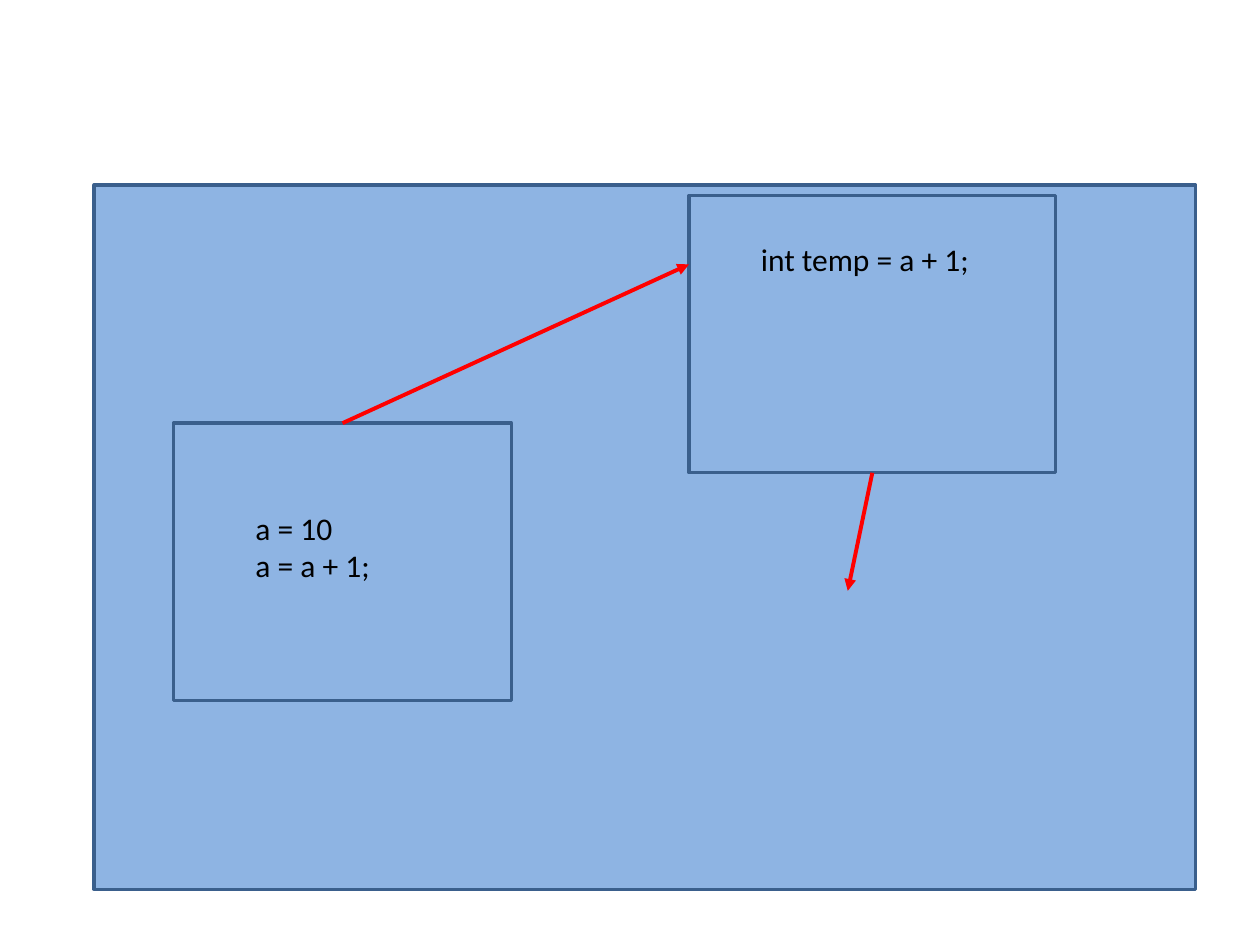
"""Build a slide showing two code frames inside one memory area, linked by arrows."""
import pptx
import pptx.dml.color
import pptx.enum.shapes
import pptx.enum.text
import pptx.oxml
import pptx.oxml.ns
import pptx.util

Cm = pptx.util.Cm

THEME = {
    "fill": "8EB4E3", "border": "3A5F8C", "arrow": "FF0000", "text": "000000",
    "font": "Calibri", "text_size": 18, "border_width": 2, "arrow_width": 2.25,
}

MEMORY = (1.9, 3.73, 22.2, 14.2)
CALLER = (3.5, 8.53, 6.81, 5.59)
CALLEE = (13.89, 3.94, 7.39, 5.59)
FRAMES = [
    (CALLER, (4.9, 10.13, 6.2, 1.8), ["a = 10", "a = a + 1;"]),
    (CALLEE, (15.09, 4.72, 6.4, 1.02), ["int temp = a + 1;"]),
]
ARROWS = [
    ((CALLER[0] + CALLER[2] / 2, CALLER[1]), (CALLEE[0], 5.33)),
    ((CALLEE[0] + CALLEE[2] / 2, CALLEE[1] + CALLEE[3]), (17.09, 11.91)),
]


def color(role):
    return pptx.dml.color.RGBColor.from_string(THEME[role])


def add_box(slide, bounds):
    box = slide.shapes.add_shape(
        pptx.enum.shapes.MSO_SHAPE.RECTANGLE, *map(Cm, bounds))
    box.shadow.inherit = False
    box.fill.solid()
    box.fill.fore_color.rgb = color("fill")
    box.line.color.rgb = color("border")
    box.line.width = pptx.util.Pt(THEME["border_width"])


def add_code(slide, bounds, statements):
    frame = slide.shapes.add_textbox(*map(Cm, bounds)).text_frame
    frame.word_wrap = True
    frame.auto_size = pptx.enum.text.MSO_AUTO_SIZE.SHAPE_TO_FIT_TEXT
    for index, statement in enumerate(statements):
        paragraph = frame.add_paragraph() if index else frame.paragraphs[0]
        run = paragraph.add_run()
        run.text = statement
        run.font.name = THEME["font"]
        run.font.size = pptx.util.Pt(THEME["text_size"])
        run.font.color.rgb = color("text")


def add_arrow(slide, start, end):
    arrow = slide.shapes.add_connector(
        pptx.enum.shapes.MSO_CONNECTOR.STRAIGHT, *map(Cm, start + end))
    arrow.line.color.rgb = color("arrow")
    arrow.line.width = pptx.util.Pt(THEME["arrow_width"])
    head = pptx.oxml.parse_xml(
        f'<a:tailEnd {pptx.oxml.ns.nsdecls("a")} type="triangle"/>')
    arrow.line._get_or_add_ln().append(head)
    arrow._element.spPr.append(
        pptx.oxml.parse_xml(f'<a:effectLst {pptx.oxml.ns.nsdecls("a")}/>'))


def main():
    deck = pptx.Presentation()
    deck.slide_width, deck.slide_height = Cm(25.4), Cm(19.05)
    slide = deck.slides.add_slide(deck.slide_layouts.get_by_name("Blank"))
    add_box(slide, MEMORY)
    for box, code_area, statements in FRAMES:
        add_box(slide, box)
        add_code(slide, code_area, statements)
    for start, end in ARROWS:
        add_arrow(slide, start, end)
    deck.save("out.pptx")


if __name__ == "__main__":
    main()
